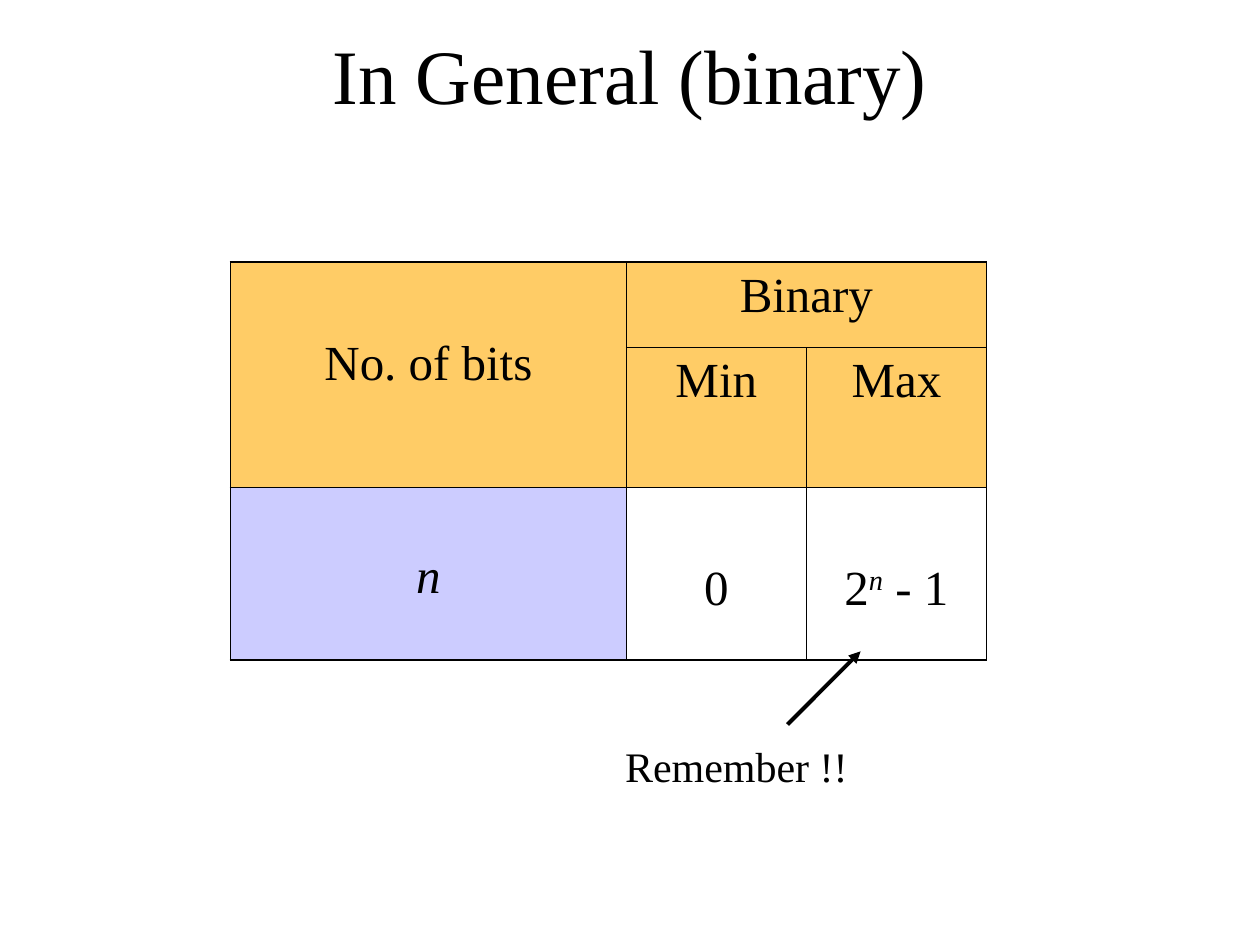
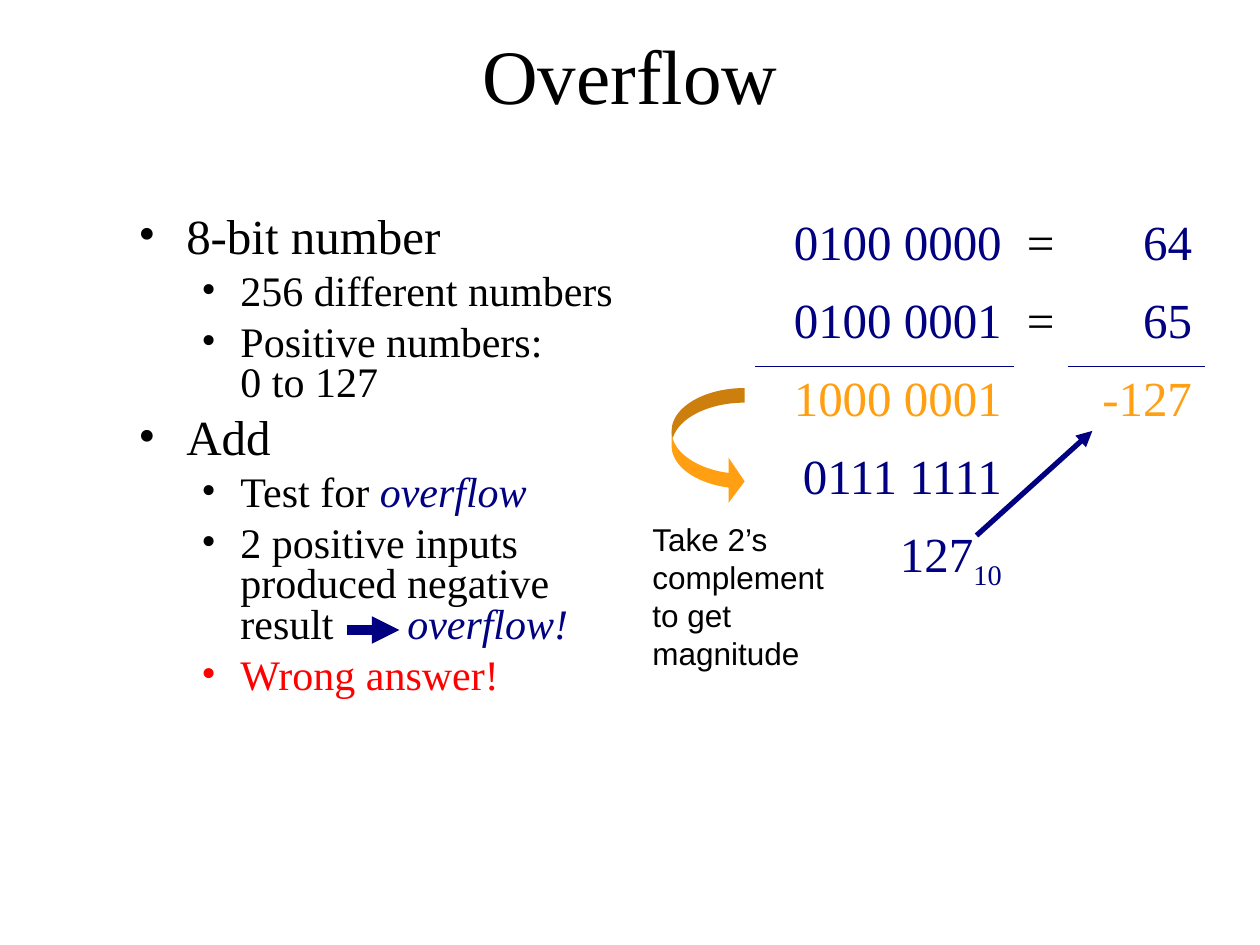
from lxml import etree
from pptx import Presentation
from pptx.dml.color import RGBColor
from pptx.enum.shapes import MSO_CONNECTOR, MSO_SHAPE
from pptx.enum.text import MSO_ANCHOR, PP_ALIGN
from pptx.oxml.ns import qn
from pptx.util import Emu, Pt

PX = 9144  # 100 px to the inch
SLIDE_BOX = (0, 0, 1000, 750)

BLACK = RGBColor(0x00, 0x00, 0x00)
NAVY = RGBColor(0x00, 0x00, 0x80)
RED = RGBColor(0xFF, 0x00, 0x00)
ORANGE = RGBColor(0xFF, 0x9F, 0x11)
HEADER_FILL = RGBColor(0xFF, 0xCC, 0x66)
BITS_FILL = RGBColor(0xCC, 0xCC, 0xFF)

SERIF, SANS = "Times New Roman", "Arial"
LEFT, CENTER, RIGHT = PP_ALIGN.LEFT, PP_ALIGN.CENTER, PP_ALIGN.RIGHT
TOP, MIDDLE = MSO_ANCHOR.TOP, MSO_ANCHOR.MIDDLE
STRAIGHT = MSO_CONNECTOR.STRAIGHT
CURVED_ARROW = MSO_SHAPE.CURVED_RIGHT_ARROW

TABLE_SIZE = 28
OUTER_LINE, INNER_LINE, SUM_LINE = 1.08, 0.45, 0.75
ITALIC_NAVY = {"color": NAVY, "italic": True}

# Level: (left margin px, hanging indent px, text size)
LEVELS = [(38, 38, 28), (81, 31, 24)]


def px(n):
    return Emu(n * PX)


def write(p, runs, size, color=BLACK, font=SERIF):
    """Fill a paragraph with (text, style) runs; a newline makes a line break."""
    for text, style in runs:
        for i, line in enumerate(text.split("\n")):
            if i:
                p.add_line_break()
            if not line:
                continue
            r = p.add_run()
            r.text = line
            r.font.name = font
            r.font.size = Pt(size)
            r.font.color.rgb = style.get("color", color)
            r.font.italic = style.get("italic", False)
            for name in ("baseline", "spc"):
                if name in style:
                    r.font._element.set(name, str(style[name]))


def add_text(s, box, runs, size, align=LEFT, anchor=TOP, font=SERIF, wrap=True):
    tf = s.shapes.add_textbox(*map(px, box)).text_frame
    tf.word_wrap = wrap
    tf.vertical_anchor = anchor
    p = tf.paragraphs[0]
    p.alignment = align
    write(p, runs, size, font=font)


def add_title(s, box, text):
    left, top, width, _ = box
    add_text(s, (left + 75, top + 17, width - 150, 83), [(text, {})], 44,
             CENTER, MIDDLE)


def add_arrow(s, start, end, color, weight):
    c = s.shapes.add_connector(STRAIGHT, *map(px, start + end))
    c.line.color.rgb = color
    c.line.width = Pt(weight)
    etree.SubElement(c.line._get_or_add_ln(), qn("a:tailEnd"), type="triangle")
    etree.SubElement(c._element.spPr, qn("a:effectLst"))


def add_plain_table(s, left, top, widths, heights):
    frame = s.shapes.add_table(len(heights), len(widths), px(left), px(top),
                               px(sum(widths)), px(sum(heights)))
    table = frame.table
    table.first_row = table.horz_banding = False
    for column, width in zip(table.columns, widths):
        column.width = px(width)
    for row, height in zip(table.rows, heights):
        row.height = px(height)
    return table


def set_border(cell, side, color, weight):
    tc_pr = cell._tc.get_or_add_tcPr()
    ln = etree.SubElement(tc_pr, qn(f"a:ln{side}"), w=str(Pt(weight)))
    fill = etree.SubElement(ln, qn("a:solidFill"))
    etree.SubElement(fill, qn("a:srgbClr"), val=str(color))


def set_cell(cell, runs, align, color=BLACK, fill=None, margin_top=5):
    if fill is None:
        cell.fill.background()
    else:
        cell.fill.solid()
        cell.fill.fore_color.rgb = fill
    cell.margin_top = px(margin_top)
    p = cell.text_frame.paragraphs[0]
    p.alignment = align
    write(p, runs, TABLE_SIZE, color)


def add_range_table(s, box):
    """Smallest and largest values that n bits can hold."""
    left, top, widths, heights = box
    table = add_plain_table(s, left, top, widths, heights)
    table.cell(0, 0).merge(table.cell(1, 0))
    table.cell(0, 1).merge(table.cell(0, 2))
    power = [("2", {}), ("n", {"italic": True, "baseline": 30000}), (" - 1", {})]
    cells = [
        (0, 0, [("No. of bits", {})], HEADER_FILL, 59),
        (0, 1, [("Binary", {})], HEADER_FILL, 5),
        (1, 1, [("Min", {})], HEADER_FILL, 5),
        (1, 2, [("Max", {})], HEADER_FILL, 5),
        (2, 0, [("n", {"italic": True})], BITS_FILL, 50),
        (2, 1, [("0", {})], None, 59),
        (2, 2, power, None, 59),
    ]
    for row, col, runs, fill, margin_top in cells:
        cell = table.cell(row, col)
        is_outer = {
            "L": col == 0,
            "R": col + cell.span_width == len(widths),
            "T": row == 0,
            "B": row + cell.span_height == len(heights),
        }
        for side, outer in is_outer.items():
            set_border(cell, side, BLACK, OUTER_LINE if outer else INNER_LINE)
        set_cell(cell, runs, CENTER, fill=fill, margin_top=margin_top)


def add_sum_table(s, left, top):
    table = add_plain_table(s, left, top, [205, 43, 108], [62] * 5)
    rows = [
        ("0100 0000", "=", "64", NAVY),
        ("0100 0001", "=", "65", NAVY),
        ("1000 0001", "", "-127", ORANGE),
        ("0111 1111", "", "", NAVY),
        ("127", "", "", NAVY),
    ]
    sum_sides = {1: "B", 2: "T"}
    for row, (bits, sign, value, color) in enumerate(rows):
        columns = [(bits, RIGHT, color), (sign, LEFT, BLACK), (value, RIGHT, color)]
        for col, (text, align, text_color) in enumerate(columns):
            cell = table.cell(row, col)
            if row in sum_sides and col != 1:
                set_border(cell, sum_sides[row], NAVY, SUM_LINE)
            set_cell(cell, [(text, {})], align, text_color)
    write(table.cell(4, 0).text_frame.paragraphs[0],
          [("10", {"baseline": -25000})], TABLE_SIZE, NAVY)


def set_bullet(p, level, color):
    margin, hanging, _ = LEVELS[level]
    p_pr = p._p.get_or_add_pPr()
    p_pr.set("marL", str(px(margin)))
    p_pr.set("indent", str(-px(hanging)))
    bullet_color = etree.SubElement(p_pr, qn("a:buClr"))
    etree.SubElement(bullet_color, qn("a:srgbClr"), val=str(color))
    etree.SubElement(p_pr, qn("a:buFont"), typeface=SERIF)
    etree.SubElement(p_pr, qn("a:buChar"), char="•")


def add_bullets(s, box, items):
    tf = s.shapes.add_textbox(*map(px, box)).text_frame
    tf.word_wrap = True
    for i, (level, runs, color) in enumerate(items):
        p = tf.add_paragraph() if i else tf.paragraphs[0]
        set_bullet(p, level, color)
        p.level = level
        p.line_spacing = 0.8
        if i:
            p.space_before = Pt(6 if level else 7)
        write(p, runs, LEVELS[level][2], color)


def add_complement_note(s, left, top):
    """Curved arrow from the sum to its complement, with a caption below."""
    arrow = s.shapes.add_shape(CURVED_ARROW, px(left + 25), px(top), px(58), px(92))
    arrow.shadow.inherit = False
    arrow.fill.solid()
    arrow.fill.fore_color.rgb = ORANGE
    arrow.line.fill.background()
    for i, value in enumerate((0.2, 0.62, 0.22)):
        arrow.adjustments[i] = value
    add_text(s, (left, top + 100, 158, 130),
             [("Take 2’s complement to get magnitude", {})], 18, font=SANS)


def add_general_slide(s, box):
    left, top, _, _ = box
    add_title(s, box, "In General (binary)")
    add_range_table(s, (left + 183, top + 208, [314, 143, 143], [68, 106, 137]))
    add_text(s, (left + 486, top + 583, 197, 50), [("Remember !!", {})], 24,
             CENTER, MIDDLE, wrap=False)
    add_arrow(s, (left + 625, top + 575), (left + 683, top + 517), BLACK, 2.25)


def add_overflow_slide(s, box):
    left, top, _, _ = box
    add_title(s, box, "Overflow")
    add_bullets(s, (left + 100, top + 167, 842, 517), [
        (0, [("8-bit number", {})], BLACK),
        (1, [("256 different numbers", {})], BLACK),
        (1, [("Positive numbers:\n0 to 127", {})], BLACK),
        (0, [("Add", {})], BLACK),
        (1, [("Test for ", {}), ("overflow", ITALIC_NAVY)], BLACK),
        (1, [("2 positive inputs\nproduced negative\nresult", {}),
             (" ", {"spc": 3600}), ("overflow!", ITALIC_NAVY)], BLACK),
        (1, [("Wrong answer!", {})], RED),
    ])
    add_sum_table(s, left + 600, top + 167)
    add_arrow(s, (left + 342, top + 425), (left + 342, top + 425), BLACK, 0.75)
    add_complement_note(s, left + 508, top + 308)
    add_arrow(s, (left + 775, top + 425), (left + 867, top + 342), NAVY, 3)
    add_arrow(s, (left + 275, top + 500), (left + 317, top + 500), NAVY, 5.25)


def main():
    prs = Presentation()
    prs.slide_width, prs.slide_height = px(SLIDE_BOX[2]), px(SLIDE_BOX[3])
    blank = prs.slide_layouts[6]
    for build in (add_general_slide, add_overflow_slide):
        build(prs.slides.add_slide(blank), SLIDE_BOX)
    prs.save("out.pptx")


if __name__ == "__main__":
    main()
